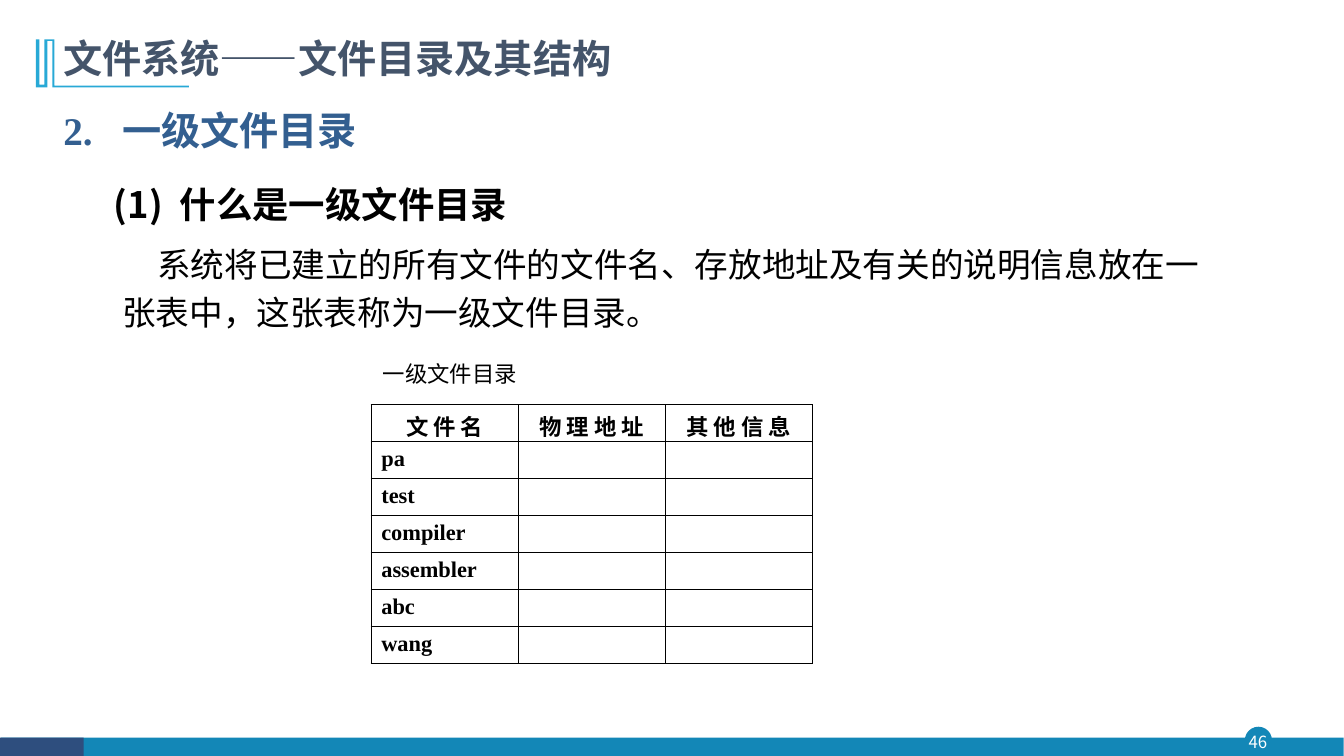
"""Build the slide that explains the single-level file directory."""
from dataclasses import dataclass

import pptx
import pptx.dml.color
import pptx.enum.shapes
import pptx.enum.text
import pptx.oxml.ns
import pptx.util
from lxml import etree

Pt = pptx.util.Pt
qn = pptx.oxml.ns.qn
ALIGN = pptx.enum.text.PP_ALIGN
ANCHOR = pptx.enum.text.MSO_ANCHOR
SHAPE = pptx.enum.shapes.MSO_SHAPE


@dataclass(frozen=True)
class Theme:
    sans: str = "Noto Sans CJK SC"
    serif: str = "Times New Roman"
    plain: str = "Arial"
    black: str = "000000"
    white: str = "FFFFFF"
    title: str = "44546A"
    heading: str = "335F90"
    bar: str = "1387B7"
    corner: str = "2E4E7E"
    bracket: str = "28A9D6"
    title_size: float = 28
    item_size: float = 26
    body_size: float = 24
    table_size: float = 16
    number_size: float = 12


@dataclass(frozen=True)
class Box:
    left: float
    top: float
    width: float
    height: float

    def lengths(self) -> tuple:
        return tuple(Pt(n) for n in (self.left, self.top, self.width, self.height))


@dataclass(frozen=True)
class Block:
    box: Box
    kind: SHAPE
    color: str


THEME = Theme()
FOOTER = (
    Block(Box(889.2, 519.1, 19.4, 19.4), SHAPE.OVAL, THEME.bar),
    Block(Box(0.7, 527, 959, 13.5), SHAPE.RECTANGLE, THEME.bar),
    Block(Box(0, 527, 59.8, 13.5), SHAPE.RECTANGLE, THEME.corner),
)
BRACKET = (
    (38.9, 28.1), (38.9, 61.2), (134.9, 61.2), (134.9, 62.4), (37.5, 62.4),
    (37.5, 29.3), (33.9, 29.3), (33.9, 62.4), (25.7, 62.4), (25.7, 28.1),
    (28.1, 28.1), (28.1, 60.5), (31.7, 60.5), (31.7, 28.1),
)
HEADERS = ("文 件 名", "物 理 地 址", "其 他 信 息")
FILES = ("pa", "test", "compiler", "assembler", "abc", "wang")
TABLE = Box(265.2, 289.2, 315, 185)


def rgb(color: str) -> pptx.dml.color.RGBColor:
    return pptx.dml.color.RGBColor.from_string(color)


def paint(shape, color: str) -> None:
    shape.shadow.inherit = False
    shape.fill.solid()
    shape.fill.fore_color.rgb = rgb(color)
    shape.line.fill.background()


def write(para, text: str, *, size: float, font: str = THEME.sans,
          color: str = THEME.black, bold: bool = False, align=ALIGN.LEFT,
          before: float = 0, spacing: float = 1.0, margin: float = 0,
          indent: float = 0) -> None:
    para.alignment = align
    para.space_before = Pt(before)
    para.line_spacing = spacing
    properties = para._p.get_or_add_pPr()
    properties.set("marL", str(Pt(margin)))
    properties.set("indent", str(Pt(indent)))
    span = para.add_run()
    span.text = text
    span.font.size = Pt(size)
    span.font.bold = bold
    span.font.name = font
    span.font.color.rgb = rgb(color)
    etree.SubElement(span._r.get_or_add_rPr(), qn("a:ea"), typeface=THEME.sans)


def add_frame(page, box: Box, anchor=ANCHOR.TOP, inset: bool = True):
    frame = page.shapes.add_textbox(*box.lengths()).text_frame
    frame.word_wrap = True
    frame.vertical_anchor = anchor
    if not inset:
        frame.margin_left = frame.margin_right = 0
        frame.margin_top = frame.margin_bottom = 0
    return frame


def add_decoration(page) -> None:
    for block in FOOTER:
        paint(page.shapes.add_shape(block.kind, *block.box.lengths()), block.color)
    points = [(Pt(x), Pt(y)) for x, y in BRACKET]
    builder = page.shapes.build_freeform(*points[0], scale=1.0)
    builder.add_line_segments(points[1:], close=True)
    paint(builder.convert_to_shape(), THEME.bracket)
    number = add_frame(page, Box(887, 518.8, 23, 22.3), ANCHOR.MIDDLE, inset=False)
    write(number.paragraphs[0], "46", size=THEME.number_size, color=THEME.white,
          align=ALIGN.CENTER)


def add_text(page) -> None:
    title = add_frame(page, Box(38.2, 24.5, 755.3, 40.3))
    write(title.paragraphs[0], "文件系统——文件目录及其结构", size=THEME.title_size,
          color=THEME.title, bold=True, spacing=0.9)
    body = add_frame(page, Box(38.2, 65.5, 843.8, 180))
    write(body.paragraphs[0], "2.\t一级文件目录", size=THEME.title_size,
          font=THEME.serif, color=THEME.heading, bold=True, before=3,
          spacing=1.2, margin=42, indent=-42)
    write(body.add_paragraph(), "(1)\t什么是一级文件目录", size=THEME.item_size,
          bold=True, before=5.2, spacing=1.5, margin=83, indent=-47)
    write(body.add_paragraph(),
          "系统将已建立的所有文件的文件名、存放地址及有关的说明信息放在一张表中，"
          "这张表称为一级文件目录。",
          size=THEME.body_size, font=THEME.serif, before=7.2, spacing=1.2,
          margin=42, indent=25)
    caption = add_frame(page, Box(266.4, 253.4, 115.2, 26.6))
    write(caption.paragraphs[0], "一级文件目录", size=THEME.table_size,
          font=THEME.plain)


def outline(cell) -> None:
    properties = cell._tc.get_or_add_tcPr()
    for side in ("a:lnL", "a:lnR", "a:lnT", "a:lnB"):
        line = etree.SubElement(properties, qn(side), w=str(Pt(1)))
        fill = etree.SubElement(line, qn("a:solidFill"))
        etree.SubElement(fill, qn("a:srgbClr"), val=THEME.black)
    cell.fill.background()


def add_directory(page) -> None:
    rows = [HEADERS] + [(name, "", "") for name in FILES]
    table = page.shapes.add_table(len(rows), len(HEADERS), *TABLE.lengths()).table
    table.first_row = table.horz_banding = False
    for column in table.columns:
        column.width = Pt(TABLE.width / len(HEADERS))
    for row_index, texts in enumerate(rows):
        table.rows[row_index].height = Pt(TABLE.height / len(rows))
        for column_index, text in enumerate(texts):
            cell = table.cell(row_index, column_index)
            outline(cell)
            cell.margin_bottom = 0
            para = cell.text_frame.paragraphs[0]
            if text:
                write(para, text, size=THEME.table_size, font=THEME.serif, bold=True,
                      align=ALIGN.LEFT if row_index else ALIGN.CENTER)
            else:
                etree.SubElement(para._p, qn("a:endParaRPr"),
                                 sz=str(int(THEME.table_size * 100)))


def main() -> None:
    deck = pptx.Presentation()
    deck.slide_width, deck.slide_height = Pt(960), Pt(540)
    page = deck.slides.add_slide(deck.slide_layouts[6])
    add_decoration(page)
    add_text(page)
    add_directory(page)
    deck.save("out.pptx")


if __name__ == "__main__":
    main()
